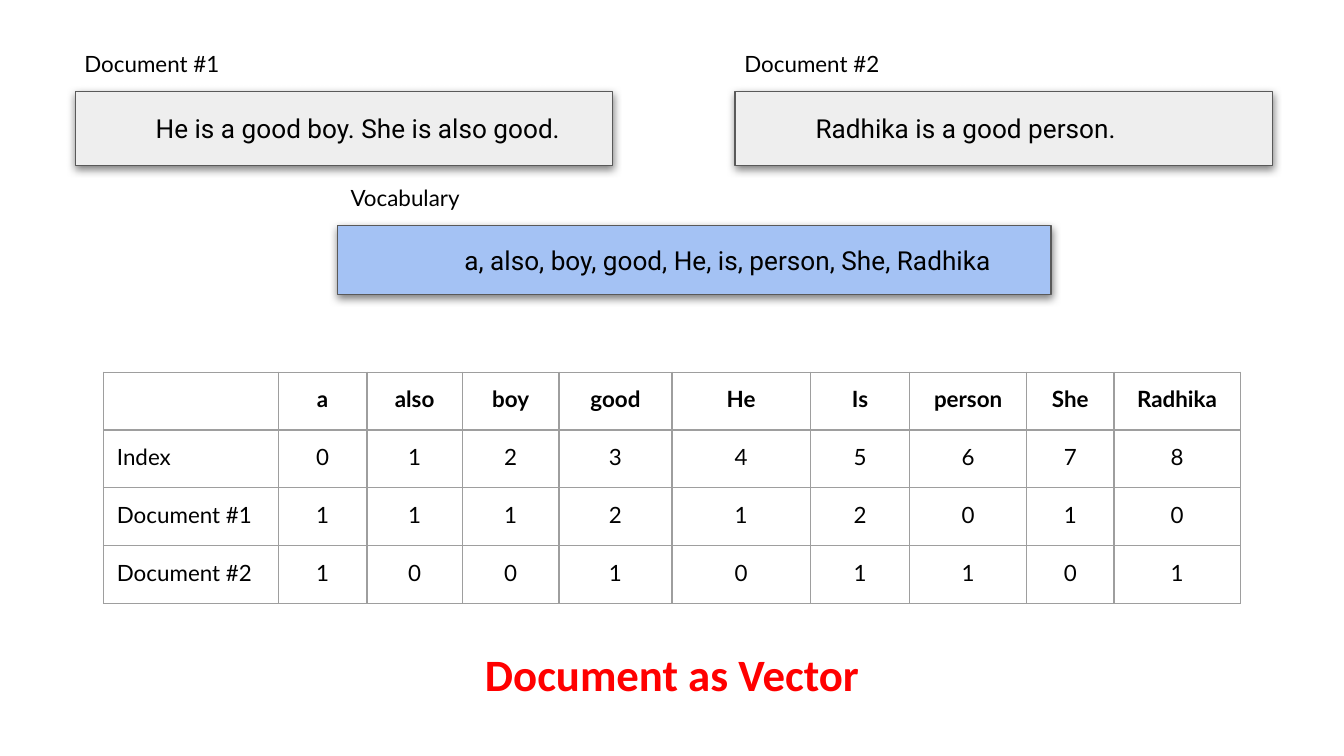
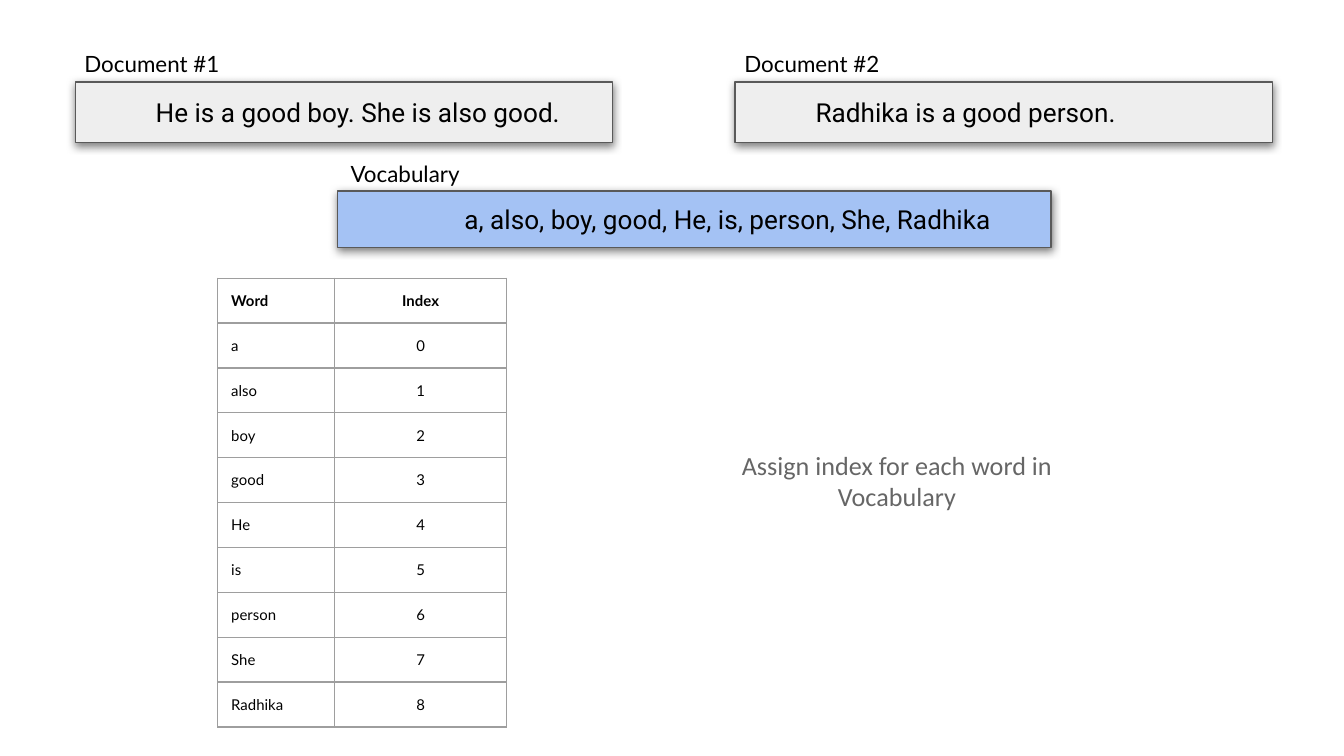
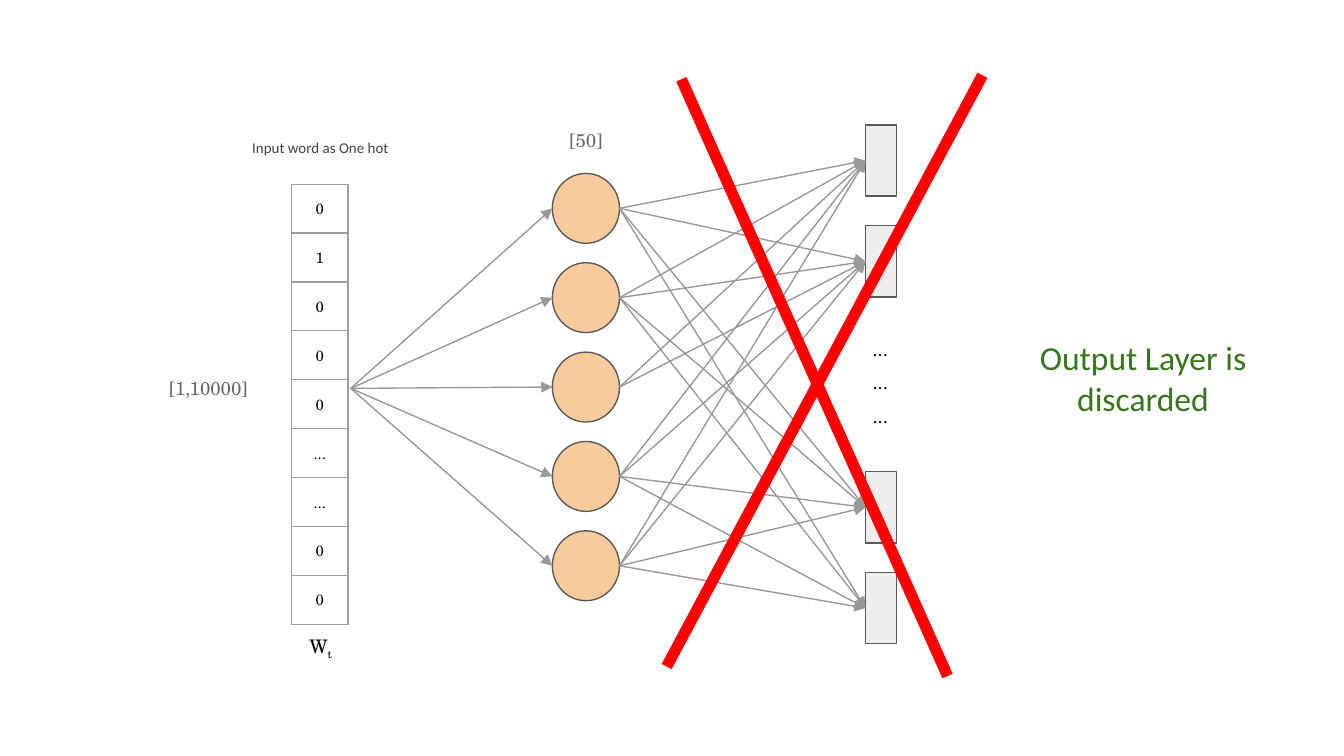
from lxml import etree
from pptx import Presentation
from pptx import util as u
from pptx.dml import color
from pptx.enum import shapes, text
from pptx.oxml import ns

BLACK = "000000"
RED = "FF0000"
DARK_GREY = "666666"
PALE_GREY = "EEEEEE"
OUTLINE = "595959"
GRID = "9E9E9E"
ARROW = "999999"
BLUE = "A4C2F4"
ORANGE = "F9CB9C"
GREEN = "38761D"
LABEL_FONT = "Lato"
SENTENCE_FONT = "Roboto"
CAPTION_FONT = "Calibri"
MATH_FONT = "TeX Gyre Schola"
INSET = 0.1
CENTER = text.PP_ALIGN.CENTER
LEFT = text.PP_ALIGN.LEFT
MIDDLE = text.MSO_ANCHOR.MIDDLE
TOP = text.MSO_ANCHOR.TOP
WORDS = ["a", "also", "boy", "good", "He", "is", "person", "She", "Radhika"]


def rgb(value):
    return color.RGBColor.from_string(value)


def inches(*lengths):
    return [u.Inches(length) for length in lengths]


def add_element(parent, tag, **attributes):
    return etree.SubElement(parent, ns.qn(tag), attributes)


def add_run(paragraph, words, font, size, colour, bold=False):
    run = paragraph.add_run()
    run.text = words
    run.font.name = font
    run.font.size = u.Pt(size)
    run.font.color.rgb = rgb(colour)
    run.font.bold = bold
    return run


def set_frame(frame, anchor):
    frame.auto_size = text.MSO_AUTO_SIZE.NONE
    frame.word_wrap = True
    frame.vertical_anchor = anchor
    frame.margin_left = frame.margin_right = u.Inches(INSET)
    frame.margin_top = frame.margin_bottom = u.Inches(INSET)


def add_title(slide, box, words, size, colour, bold=False):
    title = slide.shapes.title
    title.left, title.top, title.width, title.height = inches(*box)
    set_frame(title.text_frame, MIDDLE)
    paragraph = title.text_frame.paragraphs[0]
    paragraph.alignment = CENTER
    add_run(paragraph, words, CAPTION_FONT, size, colour, bold)


def add_text(slide, box, words, font, size, colour=BLACK, alignment=CENTER, anchor=MIDDLE):
    shape = slide.shapes.add_textbox(*inches(*box))
    set_frame(shape.text_frame, anchor)
    paragraph = shape.text_frame.paragraphs[0]
    paragraph.alignment = alignment
    add_run(paragraph, words, font, size, colour)
    return paragraph


def add_node(slide, kind, box, fill):
    shape = slide.shapes.add_shape(kind, *inches(*box))
    shape.fill.solid()
    shape.fill.fore_color.rgb = rgb(fill)
    shape.line.color.rgb = rgb(OUTLINE)
    shape.line.width = u.Pt(0.75)
    shape.shadow.inherit = False
    return shape


def add_sentence_box(slide, box, sentence, fill, alignment):
    shape = add_node(slide, shapes.MSO_SHAPE.RECTANGLE, box, fill)
    effects = shape._element.spPr.find(ns.qn("a:effectLst"))
    shadow = add_element(effects, "a:outerShdw", blurRad="57150", dist="19050",
                         dir="5400000", algn="bl", rotWithShape="0")
    shadow_colour = add_element(shadow, "a:srgbClr", val=BLACK)
    add_element(shadow_colour, "a:alpha", val="50000")
    set_frame(shape.text_frame, MIDDLE)
    paragraph = shape.text_frame.paragraphs[0]
    paragraph.alignment = alignment
    properties = paragraph._p.get_or_add_pPr()
    properties.set("marL", "0")
    properties.set("indent", str(u.Inches(0.5)))
    add_run(paragraph, sentence, SENTENCE_FONT, 14, BLACK)


def add_label(slide, left, top, width, height, words):
    add_text(slide, (left, top, width, height), words, LABEL_FONT, 12,
             alignment=LEFT, anchor=TOP)


def add_corpus(slide, label_height, document_top, document_height,
               vocabulary_top, vocabulary_height):
    documents = [
        (0.56, "Document #1", "He is a good boy. She is also good."),
        (5.47, "Document #2", "Radhika is a good person."),
    ]
    for left, name, sentence in documents:
        add_sentence_box(slide, (left, document_top, 4, document_height),
                         sentence, PALE_GREY, LEFT)
        add_label(slide, left - 0.03, 0.27, 4, label_height, name)
    add_sentence_box(slide, (2.51, vocabulary_top, 5.31, vocabulary_height),
                     ", ".join(WORDS), BLUE, CENTER)
    add_label(slide, 2.51, vocabulary_top - label_height, 4.98, label_height, "Vocabulary")


def set_borders(cell):
    properties = cell._tc.get_or_add_tcPr()
    for position, side in enumerate(("a:lnL", "a:lnR", "a:lnT", "a:lnB")):
        border = add_element(properties, side, w=str(u.Pt(0.75)))
        fill = add_element(border, "a:solidFill")
        add_element(fill, "a:srgbClr", val=GRID)
        properties.insert(position, border)


def add_grid(slide, left, top, widths, row_height, rows, font, size,
             has_header=True, anchor=TOP):
    frame = slide.shapes.add_table(len(rows), len(widths), *inches(
        left, top, sum(widths), row_height * len(rows)))
    table = frame.table
    table.first_row = table.horz_banding = False
    for column, width in zip(table.columns, widths):
        column.width = u.Inches(width)
    for row_index, values in enumerate(rows):
        table.rows[row_index].height = u.Inches(row_height)
        for column_index, value in enumerate(values):
            cell = table.cell(row_index, column_index)
            cell.fill.background()
            set_borders(cell)
            cell.vertical_anchor = anchor
            cell.margin_left = cell.margin_right = u.Inches(INSET)
            cell.margin_top = cell.margin_bottom = u.Inches(INSET if value else 0)
            if value:
                paragraph = cell.text_frame.paragraphs[0]
                is_row_name = has_header and column_index == 0
                paragraph.alignment = LEFT if is_row_name else CENTER
                add_run(paragraph, value, font, size, BLACK, has_header and row_index == 0)


def add_line(slide, start, end, colour, width):
    line = slide.shapes.add_connector(shapes.MSO_CONNECTOR.STRAIGHT, *inches(*start, *end))
    line.line.color.rgb = rgb(colour)
    line.line.width = u.Pt(width)
    add_element(line._element.spPr, "a:effectLst")
    return line


def add_arrow(slide, start, end):
    arrow = add_line(slide, start, end, ARROW, 0.75)
    add_element(arrow.line._get_or_add_ln(), "a:tailEnd", type="triangle")
    return arrow


def build_vector_slide(slide):
    add_corpus(slide, 0.41, 0.68, 0.55, 1.68, 0.51)
    header = [""] + ["Is" if word == "is" else word for word in WORDS]
    rows = [
        header,
        ["Index", *"012345678"],
        ["Document #1", *"111212010"],
        ["Document #2", *"100101101"],
    ]
    widths = [1.3, 0.66, 0.71, 0.72, 0.84, 1.03, 0.74, 0.87, 0.65, 0.94]
    add_grid(slide, 0.77, 2.77, widths, 0.43, rows, LABEL_FONT, 12)
    add_title(slide, (1.03, 4.78, 7.94, 0.47), "Document as Vector", 24, RED, True)


def build_index_slide(slide):
    add_corpus(slide, 0.33, 0.61, 0.45, 1.42, 0.42)
    rows = [["Word", "Index"]] + [[word, str(index)] for index, word in enumerate(WORDS)]
    add_grid(slide, 1.62, 2.07, [0.87, 1.28], 0.33, rows, LABEL_FONT, 8)
    add_title(slide, (5.16, 3.27, 3.03, 0.61),
              "Assign index for each word in Vocabulary", 14, DARK_GREY)


def build_network_slide(slide):
    subscripted = add_text(slide, (2.04, 4.68, 0.69, 0.28), "W", MATH_FONT, 10)
    subscript = add_run(subscripted, "t", MATH_FONT, 10, BLACK)
    subscript._r.get_or_add_rPr().set("baseline", "-25000")
    one_hot = [[value] for value in ["0", "1", "0", "0", "0", "...", "...", "0", "0"]]
    add_grid(slide, 2.17, 1.37, [0.42], 0.36, one_hot, MATH_FONT, 8,
             has_header=False, anchor=MIDDLE)
    add_text(slide, (1.27, 0.87, 2.23, 0.46), "Input word as One hot",
             CAPTION_FONT, 8, "434343")
    add_text(slide, (1.01, 2.68, 1.08, 0.42), "[1,10000]", MATH_FONT, 10, DARK_GREY)
    add_text(slide, (3.82, 0.83, 1.08, 0.42), "[50]", MATH_FONT, 10, DARK_GREY)

    hidden_left, hidden_width, hidden_height = 4.11, 0.5, 0.52
    hidden_tops = [1.29 + index * (3.95 - 1.29) / 4 for index in range(5)]
    hidden_middles = [top + hidden_height / 2 for top in hidden_tops]
    for top, middle in zip(hidden_tops, hidden_middles):
        add_node(slide, shapes.MSO_SHAPE.OVAL,
                 (hidden_left, top, hidden_width, hidden_height), ORANGE)
        add_arrow(slide, (2.61, 2.89), (hidden_left, middle))

    output_left, output_height = 6.44, 0.53
    output_tops = [start + step for start in (0.93, 3.51) for step in (0, 0.75)]
    for output_index, top in enumerate(output_tops):
        output = add_node(slide, shapes.MSO_SHAPE.RECTANGLE,
                          (output_left, top, 0.23, output_height), PALE_GREY)
        for hidden_index, middle in enumerate(hidden_middles):
            if hidden_index == 2 and output_index >= 2:
                continue
            arrow = add_arrow(slide, (hidden_left + hidden_width, middle),
                              (output_left, top + output_height / 2))
            arrow.end_connect(output, 1)
    for index in range(3):
        add_text(slide, (6.34, 2.43 + 0.25 * index, 0.42, 0.33), "...", MATH_FONT, 10)

    add_title(slide, (7.39, 2.58, 2.23, 0.46), "Output Layer is discarded", 18, GREEN)
    add_line(slide, (5.07, 0.59), (7.05, 5.03), RED, 6)
    add_line(slide, (7.31, 0.56), (4.96, 4.96), RED, 6)


def main():
    presentation = Presentation()
    presentation.slide_width = u.Inches(10)
    presentation.slide_height = presentation.slide_width * 9 // 16
    title_only = presentation.slide_layouts[5]
    for build in (build_vector_slide, build_index_slide, build_network_slide):
        build(presentation.slides.add_slide(title_only))
    presentation.save("out.pptx")


if __name__ == "__main__":
    main()
